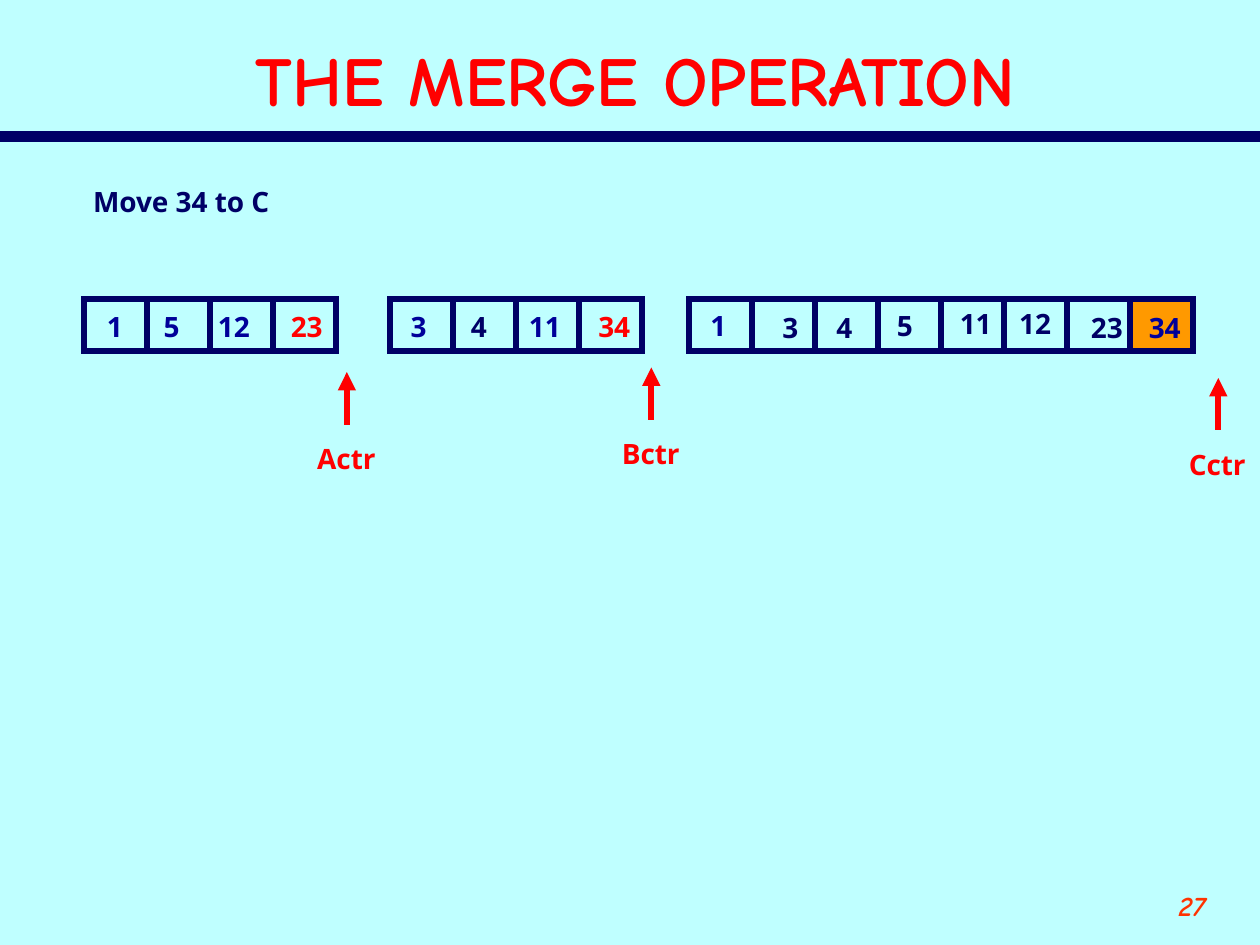
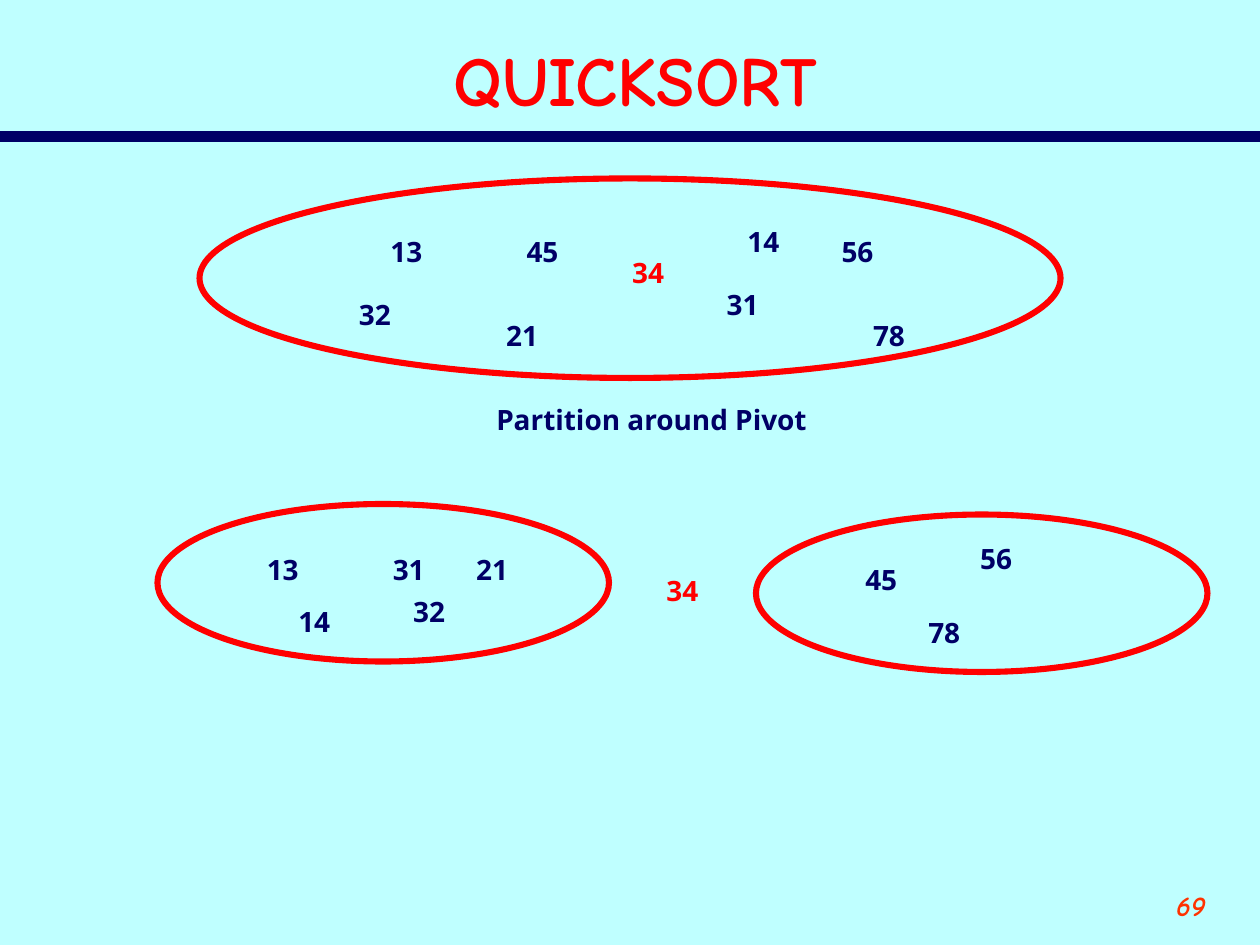
"""Build two sorting slides: the merge step and the quicksort partition."""
from dataclasses import dataclass

from lxml import etree
from pptx import Presentation
from pptx.dml.color import RGBColor
from pptx.enum import shapes, text
from pptx.oxml import ns
from pptx.util import Pt

SKY, NAVY, BLUE = "BFFFFF", "000066", "000099"
RED, RUST, GOLD = "FF0000", "FF3300", "FF9900"
SANS, COMIC = "Noto Sans", "Comic Neue"
RULE = 3.5
CELL_W, CELL_H, CELL_TOP = 36, 30, 170.7
LINE_H = 26.6


@dataclass
class Label:
    words: str
    left: float
    top: float
    hue: str = NAVY
    width: float = 33


@dataclass
class Row:
    left: float
    count: int
    last: str = ""


@dataclass
class Marker:
    name: str
    mid: float
    top: float


@dataclass
class Oval:
    left: float
    top: float
    width: float
    height: float


ROWS = [Row(48, 4), Row(222.9, 4), Row(393.8, 8, GOLD)]
ITEMS = [
    Label("1", 54, 173.5, BLUE, 24),
    Label("5", 86.4, 173.5, BLUE, 24),
    Label("12", 117.4, 173.5, BLUE),
    Label("23", 159.1, 173.5, RED),
    Label("3", 227.5, 173.5, BLUE, 24),
    Label("4", 262, 173.5, NAVY, 24),
    Label("11", 295.2, 173.5, BLUE),
    Label("34", 334.8, 173.5, RED),
    Label("1", 398.9, 172.8, BLUE, 24),
    Label("3", 440, 174.2, NAVY, 24),
    Label("4", 470.9, 174.2, NAVY, 24),
    Label("5", 505.4, 172.8, NAVY, 24),
    Label("11", 541.4, 171.4),
    Label("12", 575.3, 171.4),
    Label("23", 616.3, 174.2),
    Label("34", 649.4, 174.2, BLUE),
    Label("Move 34 to C", 46.1, 102.2, NAVY, 116),
]
MARKS = [Marker("Actr", 198.2, 212.6), Marker("Bctr", 372.2, 210),
         Marker("Cctr", 696.2, 216)]

OVALS = [Oval(114, 102, 492, 114), Oval(90, 288, 258, 90),
         Oval(432, 294, 258, 90)]
PARTS = [
    Label("13", 216, 130.5),
    Label("21", 282.2, 178.6),
    Label("34", 354.2, 142.6, RED),
    Label("56", 473.8, 130.5),
    Label("32", 198, 166.5),
    Label("31", 408.2, 160.6),
    Label("45", 293.8, 130.5),
    Label("78", 491.8, 178.6),
    Label("14", 420, 124.6),
    Label("Partition around Pivot", 276.5, 226.5, NAVY, 193),
    Label("13", 145.4, 312),
    Label("14", 163.4, 342),
    Label("21", 265, 312),
    Label("32", 229, 336.2),
    Label("31", 217.4, 312),
    Label("45", 487.4, 318.2),
    Label("56", 553, 306),
    Label("78", 523.4, 348),
    Label("34", 373.7, 324, RED, 36.7),
]


def tint(code: str) -> RGBColor:
    """Turn a hex string into a colour."""
    return RGBColor.from_string(code)


def write(shape, words: str, *, size: float = 16, face: str = SANS,
          hue: str = NAVY, slant: bool = False,
          align=text.PP_ALIGN.LEFT) -> None:
    """Put one bold formatted paragraph into a shape."""
    para = shape.text_frame.paragraphs[0]
    para.alignment = align
    run = para.add_run()
    run.text = words
    font = run.font
    font.size, font.name = Pt(size), face
    font.bold, font.italic = True, slant
    font.color.rgb = tint(hue)


def place(shape, left: float, top: float, width: float, height: float) -> None:
    """Move and size a shape."""
    shape.left, shape.top = Pt(left), Pt(top)
    shape.width, shape.height = Pt(width), Pt(height)


def label(slide, item: Label) -> None:
    """Draw a one-line text box that fits its words."""
    box = slide.shapes.add_textbox(Pt(item.left), Pt(item.top),
                                   Pt(item.width), Pt(LINE_H))
    box.text_frame.word_wrap = False
    box.text_frame.auto_size = text.MSO_AUTO_SIZE.SHAPE_TO_FIT_TEXT
    write(box, item.words, hue=item.hue)


def stroke(shape, hue: str, width: float, tag: str = "", **attrs: str) -> None:
    """Colour a shape's line and add one more line element if named."""
    shape.line.color.rgb = tint(hue)
    shape.line.width = Pt(width)
    if tag:
        etree.SubElement(shape.line._get_or_add_ln(), ns.qn(tag), **attrs)


def line(slide, start: tuple[float, float], end: tuple[float, float],
         hue: str, width: float, head: str = "none") -> None:
    """Draw a straight line with the given head at its start."""
    link = slide.shapes.add_connector(shapes.MSO_CONNECTOR.STRAIGHT,
                                      *map(Pt, start + end))
    stroke(link, hue, width, "a:headEnd", type=head)
    etree.SubElement(link._element.spPr, ns.qn("a:effectLst"))


def frame(slide, kind, left: float, top: float, width: float, height: float,
          edge: str, fill: str = "") -> None:
    """Draw an outlined shape, filled only if a fill is given."""
    shape = slide.shapes.add_shape(kind, Pt(left), Pt(top),
                                   Pt(width), Pt(height))
    shape.shadow.inherit = False
    stroke(shape, edge, RULE, "a:miter", lim="800000")
    if fill:
        shape.fill.solid()
        shape.fill.fore_color.rgb = tint(fill)
    else:
        shape.fill.background()


def cells(slide, row: Row) -> None:
    """Draw an array as a row of touching cells."""
    for i in range(row.count):
        fill = row.last if i == row.count - 1 else ""
        frame(slide, shapes.MSO_SHAPE.RECTANGLE, row.left + i * CELL_W,
              CELL_TOP, CELL_W, CELL_H, NAVY, fill)


def point(slide, mark: Marker) -> None:
    """Draw an upward arrow with its counter's name below."""
    line(slide, (mark.mid, mark.top), (mark.mid, mark.top + 30),
         RED, RULE, "triangle")
    label(slide, Label(mark.name, mark.mid - 24, mark.top + 36, RED, 48.5))


def start(deck, title: str, page: str):
    """Add a slide with its title, band and page number."""
    slide = deck.slides.add_slide(deck.slide_layouts[5])
    head = slide.shapes.title
    place(head, 30, 18, 666, 54)
    head.text_frame.auto_size = text.MSO_AUTO_SIZE.NONE
    head.text_frame.vertical_anchor = text.MSO_ANCHOR.MIDDLE
    write(head, title, size=40, face=COMIC, hue=RED,
          align=text.PP_ALIGN.CENTER)
    line(slide, (0, 78), (720, 78), NAVY, 6)
    foot = slide.shapes.add_textbox(Pt(624), Pt(504), Pt(72), Pt(36))
    foot.text_frame.word_wrap = True
    write(foot, page, face=COMIC, hue=RUST, slant=True,
          align=text.PP_ALIGN.RIGHT)
    return slide


def merge(deck) -> None:
    """Build the merge slide."""
    slide = start(deck, "THE MERGE OPERATION", "27")
    for row in ROWS:
        cells(slide, row)
    for mark in MARKS:
        point(slide, mark)
    for item in ITEMS:
        label(slide, item)


def split(deck) -> None:
    """Build the quicksort slide."""
    slide = start(deck, "QUICKSORT", "69")
    for oval in OVALS:
        frame(slide, shapes.MSO_SHAPE.OVAL, oval.left, oval.top,
              oval.width, oval.height, RED)
    for item in PARTS:
        label(slide, item)


def main() -> None:
    """Build and save the deck."""
    deck = Presentation()
    deck.slide_width, deck.slide_height = Pt(720), Pt(540)
    back = deck.slide_master.background.fill
    back.solid()
    back.fore_color.rgb = tint(SKY)
    merge(deck)
    split(deck)
    deck.save("out.pptx")


if __name__ == "__main__":
    main()
